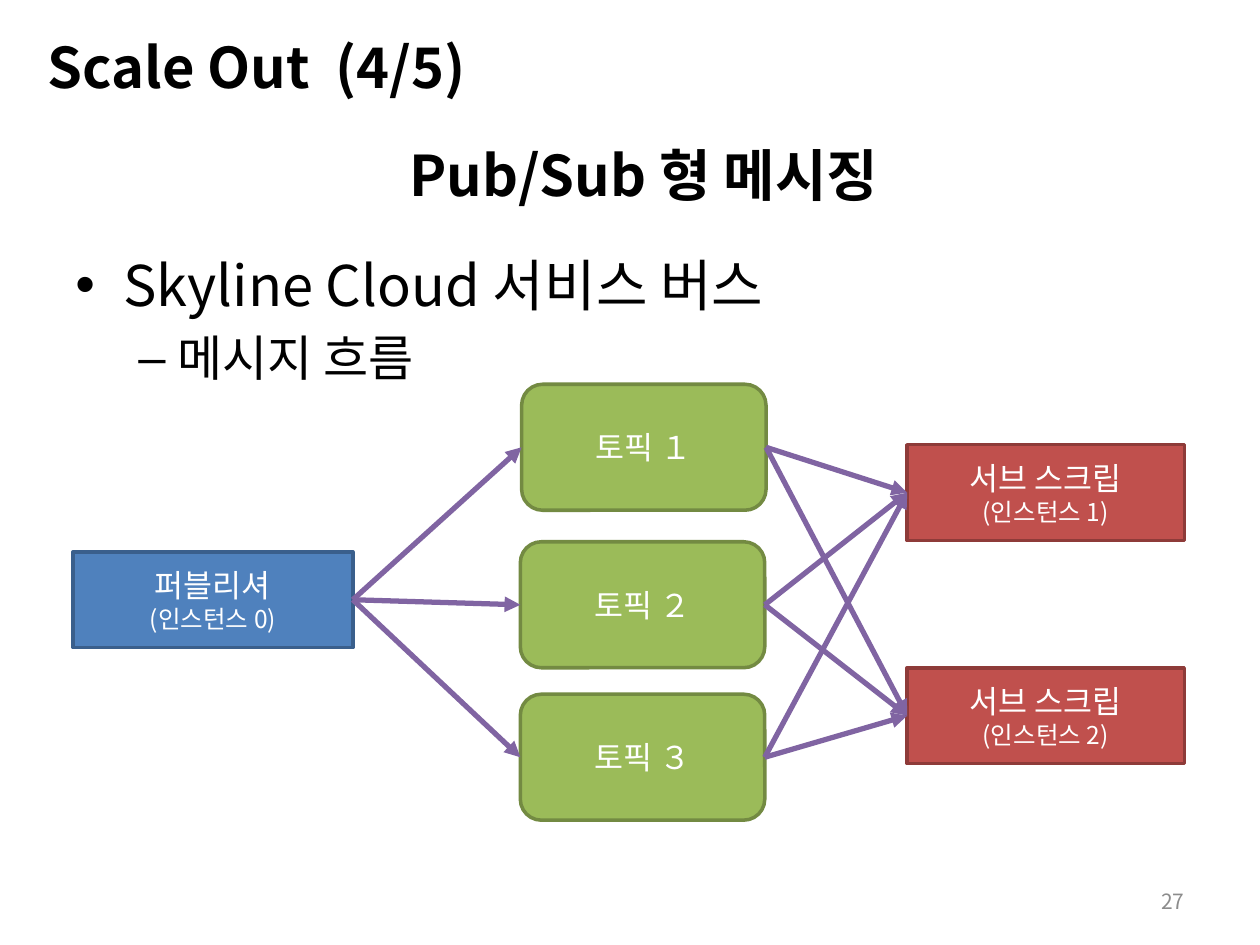
from itertools import product

from lxml.etree import SubElement
from pptx import Presentation
from pptx.dml.color import RGBColor
from pptx.enum.shapes import MSO_CONNECTOR, MSO_SHAPE
from pptx.enum.text import MSO_ANCHOR, PP_ALIGN
from pptx.oxml.ns import qn
from pptx.util import Inches, Pt

BLACK = RGBColor(0x00, 0x00, 0x00)
WHITE = RGBColor(0xFF, 0xFF, 0xFF)
GRAY = RGBColor(0x8C, 0x8C, 0x8C)
BLUE = RGBColor(0x4F, 0x81, 0xBD)
DARK_BLUE = RGBColor(0x3A, 0x5F, 0x8C)
GREEN = RGBColor(0x9B, 0xBB, 0x59)
DARK_GREEN = RGBColor(0x73, 0x8A, 0x42)
RED = RGBColor(0xC0, 0x50, 0x4D)
DARK_RED = RGBColor(0x8E, 0x3B, 0x39)
PURPLE = RGBColor(0x80, 0x64, 0xA2)
LEFT_SIDE, RIGHT_SIDE = 1, 3


class SlideBuilder:
    font_name = "Noto Sans CJK KR"

    def __init__(self, slide):
        self.slide = slide

    def add_words(self, paragraph, text, size, color, bold=False):
        run = paragraph.add_run()
        run.text = text
        style = {"name": self.font_name, "size": Pt(size), "bold": bold}
        for attribute, value in style.items():
            setattr(run.font, attribute, value)
        run.font.color.rgb = color
        SubElement(run.font._element, qn("a:ea"), typeface=self.font_name)

    def text(self, box, content, size, color=BLACK, bold=False, wrap=True,
             align=PP_ALIGN.LEFT, anchor=MSO_ANCHOR.TOP):
        frame = self.slide.shapes.add_textbox(*map(Inches, box)).text_frame
        frame.word_wrap = wrap
        frame.vertical_anchor = anchor
        frame.paragraphs[0].alignment = align
        self.add_words(frame.paragraphs[0], content, size, color, bold)

    def bullets(self, box, items):
        frame = self.slide.shapes.add_textbox(*map(Inches, box)).text_frame
        frame.word_wrap = True
        for index, (content, size, mark, margin, hanging) in enumerate(items):
            paragraph = frame.add_paragraph() if index else frame.paragraphs[0]
            paragraph.level = index
            paragraph.space_before = Pt(size * 0.2)
            properties = paragraph._p.get_or_add_pPr()
            properties.set("marL", str(Inches(margin)))
            properties.set("indent", str(-Inches(hanging)))
            SubElement(properties, qn("a:buFont"), typeface="Arial")
            SubElement(properties, qn("a:buChar"), char=mark)
            self.add_words(paragraph, content, size, BLACK)

    def node(self, preset, box, fill, border, title, detail=None):
        shape = self.slide.shapes.add_shape(preset, *map(Inches, box))
        shape.shadow.inherit = False
        shape.fill.solid()
        shape.fill.fore_color.rgb = fill
        shape.line.color.rgb = border
        shape.line.width = Pt(2)
        frame = shape.text_frame
        frame.word_wrap = True
        frame.vertical_anchor = MSO_ANCHOR.MIDDLE
        paragraph = frame.paragraphs[0]
        paragraph.alignment = PP_ALIGN.CENTER
        self.add_words(paragraph, title, 18, WHITE)
        if detail:
            paragraph.add_line_break()
            self.add_words(paragraph, detail, 14, WHITE)
        return shape

    def arrow(self, sender, receiver):
        connector = self.slide.shapes.add_connector(MSO_CONNECTOR.STRAIGHT, 0, 0, 0, 0)
        connector.begin_connect(sender, RIGHT_SIDE)
        connector.end_connect(receiver, LEFT_SIDE)
        connector.line.color.rgb = PURPLE
        connector.line.width = Pt(3)
        SubElement(connector.line._get_or_add_ln(), qn("a:tailEnd"), type="triangle")
        SubElement(connector._element.spPr, qn("a:effectLst"))


def main():
    presentation = Presentation()
    presentation.slide_width = Inches(10)
    presentation.slide_height = Inches(7.5)
    builder = SlideBuilder(presentation.slides.add_slide(presentation.slide_layouts[6]))

    builder.bullets((0.5, 1.94, 9, 4.95), [
        ("Skyline Cloud 서비스 버스", 32, "•", 0.38, 0.38),
        ("메시지 흐름", 28, "–", 0.81, 0.31),
    ])
    builder.text((7.17, 6.95, 2.33, 0.4), "27", 12, GRAY,
                 align=PP_ALIGN.RIGHT, anchor=MSO_ANCHOR.MIDDLE)

    publisher = builder.node(MSO_SHAPE.RECTANGLE, (0.58, 4.38, 2.22, 0.76),
                             BLUE, DARK_BLUE, "퍼블리셔", "(인스턴스 0)")
    topics = [
        builder.node(MSO_SHAPE.ROUNDED_RECTANGLE, (left, top, 1.94, 1),
                     GREEN, DARK_GREEN, f"토픽 {number}")
        for number, left, top in (("１", 4.14, 3.05), ("２", 4.13, 4.3), ("３", 4.13, 5.51))
    ]
    subscribers = [
        builder.node(MSO_SHAPE.RECTANGLE, (7.2, top, 2.2, 0.76),
                     RED, DARK_RED, "서브 스크립", f"(인스턴스 {number})")
        for number, top in ((1, 3.53), (2, 5.3))
    ]
    for topic in topics:
        builder.arrow(publisher, topic)
    for topic, subscriber in product(topics, subscribers):
        builder.arrow(topic, subscriber)

    builder.text((0.28, 0.21, 8.43, 0.64), "Scale Out  (4/5)", 32, bold=True)
    builder.text((2.96, 1.07, 4.3, 0.64), "Pub/Sub 형 메시징", 32, bold=True,
                 wrap=False, align=PP_ALIGN.CENTER)
    presentation.save("out.pptx")


if __name__ == "__main__":
    main()
